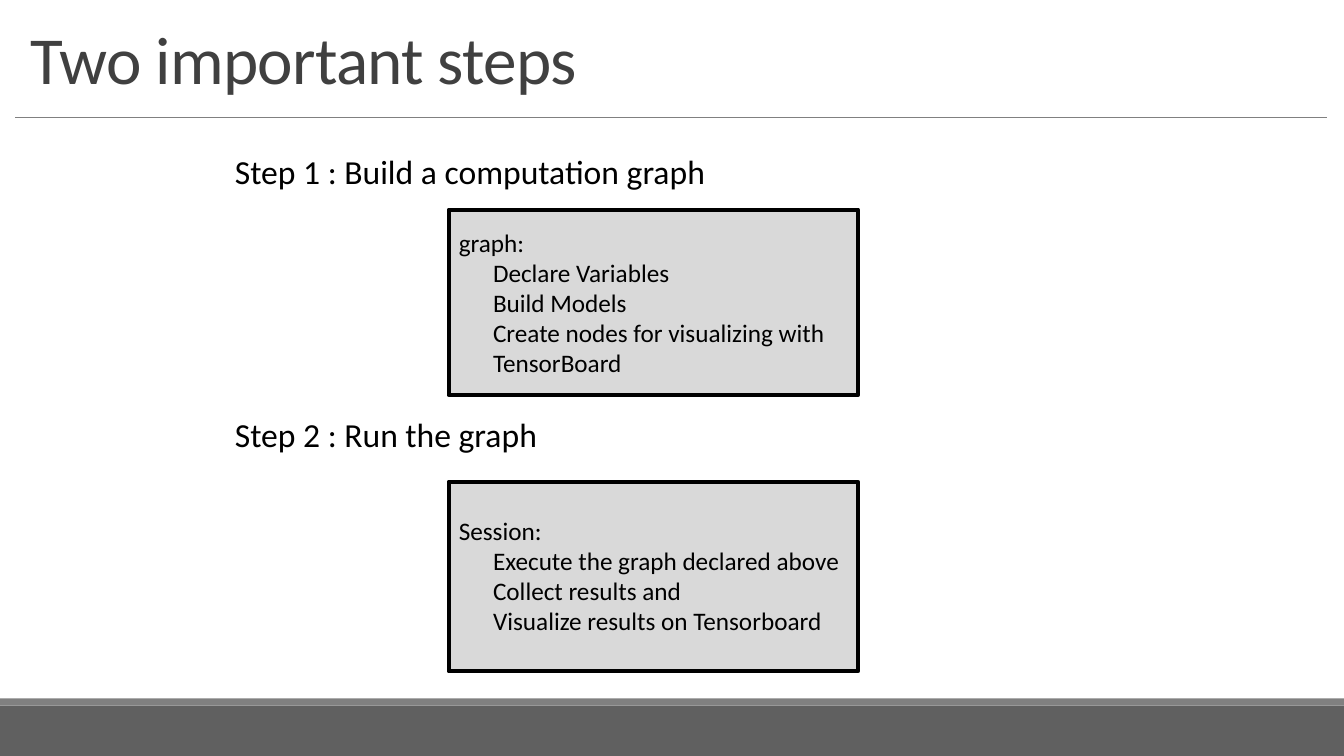
from dataclasses import dataclass

from lxml import etree
from pptx import Presentation
from pptx.dml.color import RGBColor
from pptx.enum.shapes import MSO_CONNECTOR, MSO_SHAPE
from pptx.enum.text import MSO_ANCHOR, MSO_AUTO_SIZE, PP_ALIGN
from pptx.oxml.ns import qn
from pptx.util import Inches, Pt

RECT = MSO_SHAPE.RECTANGLE
LINE = MSO_CONNECTOR.STRAIGHT
TOP, BOTTOM = MSO_ANCHOR.TOP, MSO_ANCHOR.BOTTOM
FIXED, GROW = MSO_AUTO_SIZE.NONE, MSO_AUTO_SIZE.SHAPE_TO_FIT_TEXT
LEFT = PP_ALIGN.LEFT
COMPARE = 4  # template layout with a title, two headings and two lists

Box = tuple[float, float, float, float]


@dataclass(frozen=True)
class Theme:
    font: str = "Calibri"
    ink: str = "000000"
    title: str = "404040"
    card: str = "D9D9D9"
    rule: str = "808080"
    foot: str = "606060"
    title_size: int = 48
    head_size: int = 24
    list_size: int = 18


@dataclass(frozen=True)
class Step:
    head: str
    head_at: Box
    card_at: Box
    list_at: Box
    label: str
    items: tuple[str, ...]


THEME = Theme()
WIDTH, HEIGHT = 13.33, 7.5
INDENT = 0.34
CARD_X, CARD_W = 4.45, 4.06
HEAD_X, HEAD_H = 2.23, 0.5
STEPS = (
    Step("Step 1 : Build a computation graph",
         (HEAD_X, 1.45, 5.44, HEAD_H),
         (CARD_X, 2.08, CARD_W, 1.84), (CARD_X, 2.2, CARD_W, 1.61),
         "graph:",
         ("Declare Variables", "Build Models",
          "Create nodes for visualizing with", "TensorBoard")),
    Step("Step 2 : Run the graph",
         (HEAD_X, 4.06, 4.19, HEAD_H),
         (CARD_X, 4.78, CARD_W, 1.88), (CARD_X, 5.06, CARD_W, 1.31),
         "Session:",
         ("Execute the graph declared above", "Collect results and",
          "Visualize results on Tensorboard")),
)


def color(code: str) -> RGBColor:
    return RGBColor.from_string(code)


def place(shape, box: Box) -> None:
    shape.left, shape.top, shape.width, shape.height = map(Inches, box)


def add_rect(slide, box: Box, fill: str, edge: str = "") -> None:
    rect = slide.shapes.add_shape(RECT, *map(Inches, box))
    rect.shadow.inherit = False
    rect.fill.solid()
    rect.fill.fore_color.rgb = color(fill)
    if edge:
        rect.line.color.rgb = color(edge)
        rect.line.width = Pt(3)
    else:
        rect.line.fill.background()


def add_rule(slide, left: float, right: float, top: float) -> None:
    rule = slide.shapes.add_connector(
        LINE, Inches(left), Inches(top), Inches(right), Inches(top))
    rule.line.color.rgb = color(THEME.rule)
    rule.line.width = Pt(0.5)
    etree.SubElement(rule._element.spPr, qn("a:effectLst"))


def add_line(para, text: str, size: int, ink: str, indent: float = 0):
    """Fill a paragraph with one plain, unbulleted run and return the run."""
    props = para._p.get_or_add_pPr()
    props.set("marL", str(Inches(indent)))
    props.set("indent", "0")
    etree.SubElement(props, qn("a:buNone"))
    para.alignment = LEFT
    para.space_before = Pt(0)
    run = para.add_run()
    run.text = text
    run.font.name = THEME.font
    run.font.size = Pt(size)
    run.font.bold = False
    run.font.color.rgb = color(ink)
    return run


def set_frame(holder, box: Box, anchor=TOP, fit=GROW):
    """Move a placeholder and return its text frame."""
    place(holder, box)
    frame = holder.text_frame
    frame.word_wrap = True
    frame.auto_size = fit
    frame.vertical_anchor = anchor
    return frame


def add_title(slide, text: str) -> None:
    frame = set_frame(slide.shapes.title, (0.2, 0.15, 12.93, 0.87),
                      BOTTOM, FIXED)
    para = frame.paragraphs[0]
    run = add_line(para, text, THEME.title_size, THEME.title)
    para.line_spacing = 0.85
    run.font._element.set("spc", "-50")


def add_step(slide, step: Step, head, body) -> None:
    frame = set_frame(head, step.head_at)
    add_line(frame.paragraphs[0], step.head, THEME.head_size, THEME.ink)
    add_rect(slide, step.card_at, THEME.card, THEME.ink)
    slide.shapes._spTree.append(body._element)  # list in front of its card
    frame = set_frame(body, step.list_at)
    add_line(frame.paragraphs[0], step.label, THEME.list_size, THEME.ink)
    for item in step.items:
        add_line(frame.add_paragraph(), item, THEME.list_size, THEME.ink,
                 INDENT)


def main() -> None:
    deck = Presentation()
    deck.slide_width, deck.slide_height = Inches(WIDTH), Inches(HEIGHT)
    slide = deck.slides.add_slide(deck.slide_layouts[COMPARE])
    add_rect(slide, (0, 7, WIDTH, 0.5), THEME.foot)
    add_rect(slide, (0, 6.93, WIDTH, 0.07), THEME.rule)
    add_rule(slide, 0.15, 13.16, 1.16)
    add_title(slide, "Two important steps")
    _, *holders = slide.placeholders
    for step, head, body in zip(STEPS, holders[::2], holders[1::2]):
        add_step(slide, step, head, body)
    deck.save("out.pptx")


if __name__ == "__main__":
    main()
